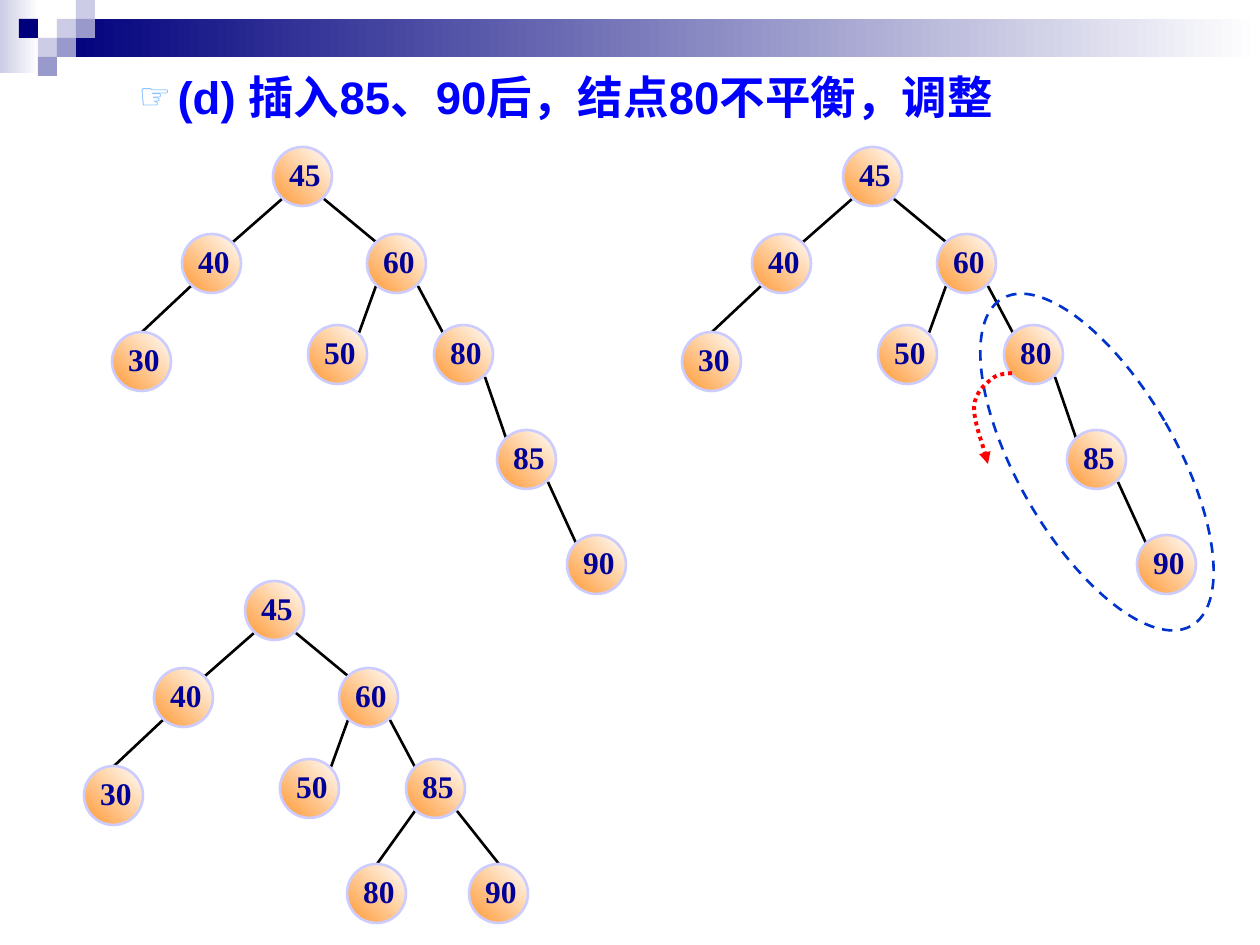
"""Build the slide on rebalancing an AVL tree after inserting 85 and 90."""
from lxml.etree import SubElement
from pptx import Presentation
from pptx.dml.color import RGBColor
from pptx.enum.dml import MSO_LINE as DASH
from pptx.enum.shapes import MSO_CONNECTOR as CONN, MSO_SHAPE as SHAPE
from pptx.enum.text import MSO_ANCHOR as ANCHOR, MSO_AUTO_SIZE as AUTO, PP_ALIGN as ALIGN
from pptx.oxml.ns import qn
from pptx.util import Emu, Pt

PX = 914400 / 126


def paint(fill, *colors, angle=0):
    if len(colors) == 1:
        fill.solid()
        fill.fore_color.rgb = RGBColor.from_string(colors[0])
        return
    fill.gradient()
    fill.gradient_angle = angle
    for stop, color in zip(fill.gradient_stops, colors):
        stop.color.rgb = RGBColor.from_string(color)


def write(tf, text, font="Arial", size=18, color="000000", align=ALIGN.LEFT):
    p = tf.paragraphs[0]
    p.alignment = align
    p.space_before = Pt(0)
    r = p.add_run()
    r.text = text
    r.font.name = font
    r.font.size = Pt(size)
    r.font.bold = True
    paint(r.font.fill, color)
    return p


prs = Presentation()
prs.slide_width, prs.slide_height = Emu(int(1260 * PX)), Emu(int(945 * PX))
s = prs.slides.add_slide(prs.slide_layouts[1])
title = s.shapes.title._element
title.getparent().remove(title)

CELL = 19
header = [((0, 0, 39, 73), ("CCCCE6", "FFFFFF")), ((57, 19, 1203, 38), ("00007D", "FFFFFF"))]
for col, row, color in [(3, 1, "CCCCE6"), (4, 0, "CCCCE6"), (4, 1, "9999CC"), (2, 2, "CCCCE6"),
                        (1, 1, "00007D"), (3, 2, "9999CC"), (2, 3, "9999CC")]:
    header.append(((col * CELL, row * CELL, CELL, CELL), (color,)))
for box, colors in header:
    sp = s.shapes.add_shape(SHAPE.RECTANGLE, *[Emu(int(v * PX)) for v in box])
    sp.shadow.inherit = False
    paint(sp.fill, *colors)
    sp.line.fill.background()

body = s.placeholders[1]
body.left, body.top, body.width, body.height = [Emu(int(v * PX)) for v in (63, 63, 1134, 882)]
tf = body.text_frame
tf.auto_size = AUTO.NONE
tf.vertical_anchor = ANCHOR.TOP
p = write(tf, "(d) 插入85、90后，结点80不平衡，调整", size=26, color="0000FF")
pPr = p._p.get_or_add_pPr()
pPr.set("marL", str(int(102 * PX)))
pPr.set("indent", str(int(-39 * PX)))
SubElement(SubElement(pPr, qn("a:buClr")), qn("a:srgbClr"), val="67AFFF")
SubElement(pPr, qn("a:buSzPct"), val="80000")
SubElement(pPr, qn("a:buChar"), char="☞")

SIZE = 59
SPOTS = {"top": (30, 0), "tl": (9, 8), "tr": (51, 8), "bl": (9, 52), "br": (51, 52)}
base_nodes = {"45": (0, 0), "40": (-91, 87), "60": (94, 87), "30": (-161, 185), "50": (35, 178)}
base_edges = [("45", "bl", "40", "tr"), ("45", "br", "60", "tl"),
              ("40", "bl", "30", "top"), ("60", "bl", "50", "tr")]
before = (base_nodes | {"80": (161, 178), "85": (224, 283), "90": (294, 388)},
          base_edges + [("60", "br", "80", "tl"), ("80", "br", "85", "tl"), ("85", "br", "90", "tl")])
after = (base_nodes | {"85": (161, 178), "80": (102, 283), "90": (224, 283)},
         base_edges + [("60", "br", "85", "tl"), ("85", "bl", "80", "top"), ("85", "br", "90", "top")])

for left, top, (nodes, edges) in [(273, 147, before), (843, 147, before), (245, 581, after)]:
    tree = s.shapes.add_group_shape().shapes
    for parent, start, child, end in edges:
        ends = []
        for node, spot in ((parent, start), (child, end)):
            ends += [left + nodes[node][0] + SPOTS[spot][0], top + nodes[node][1] + SPOTS[spot][1]]
        edge = tree.add_connector(CONN.STRAIGHT, *[Emu(int(v * PX)) for v in ends])
        paint(edge.line.fill, "000000")
        edge.line.width = Pt(1.5)
        SubElement(edge._element.spPr, qn("a:effectLst"))
    for key, (x, y) in nodes.items():
        box = (left + x, top + y, SIZE, SIZE)
        sp = tree.add_shape(SHAPE.OVAL, *[Emu(int(v * PX)) for v in box])
        sp.shadow.inherit = False
        paint(sp.fill, "FF9933", "FFFFFF", angle=45)
        paint(sp.line.fill, "CCCCFF")
        sp.line.width = Pt(1.5)
        tf = sp.text_frame
        tf.word_wrap = False
        tf.vertical_anchor = ANCHOR.MIDDLE
        tf.margin_left, tf.margin_top, tf.margin_right, tf.margin_bottom = [
            Emu(int(v * PX)) for v in (18, 1, 13, 6)]
        write(tf, key, font="Times New Roman", color="000099", align=ALIGN.CENTER)

ring = s.shapes.add_shape(SHAPE.OVAL, *[Emu(int(v * PX)) for v in (1018, 273, 158, 378)])
ring.shadow.inherit = False
ring.rotation = 150
ring.fill.background()
paint(ring.line.fill, "0033CC")
ring.line.width = Pt(1.5)
ring.line.dash_style = DASH.DASH

fb = s.shapes.build_freeform(1012, 373, scale=PX)
fb.add_line_segments([(1009, 374), (998, 373), (992, 379), (985, 384), (975, 393), (974, 407),
                      (974, 421), (985, 451), (988, 464)], close=False)
arrow = fb.convert_to_shape()
arrow.shadow.inherit = False
arrow.fill.background()
paint(arrow.line.fill, "FF0000")
arrow.line.width = Pt(2.25)
arrow.line.dash_style = DASH.ROUND_DOT
SubElement(arrow.line._get_or_add_ln(), qn("a:tailEnd"), type="triangle")
curve = arrow._element.find(".//" + qn("a:path"))
segments = curve.findall(qn("a:lnTo"))
for i in range(0, len(segments), 3):
    bezier = SubElement(curve, qn("a:cubicBezTo"))
    for segment in segments[i:i + 3]:
        bezier.append(segment[0])
        curve.remove(segment)

prs.save("out.pptx")
